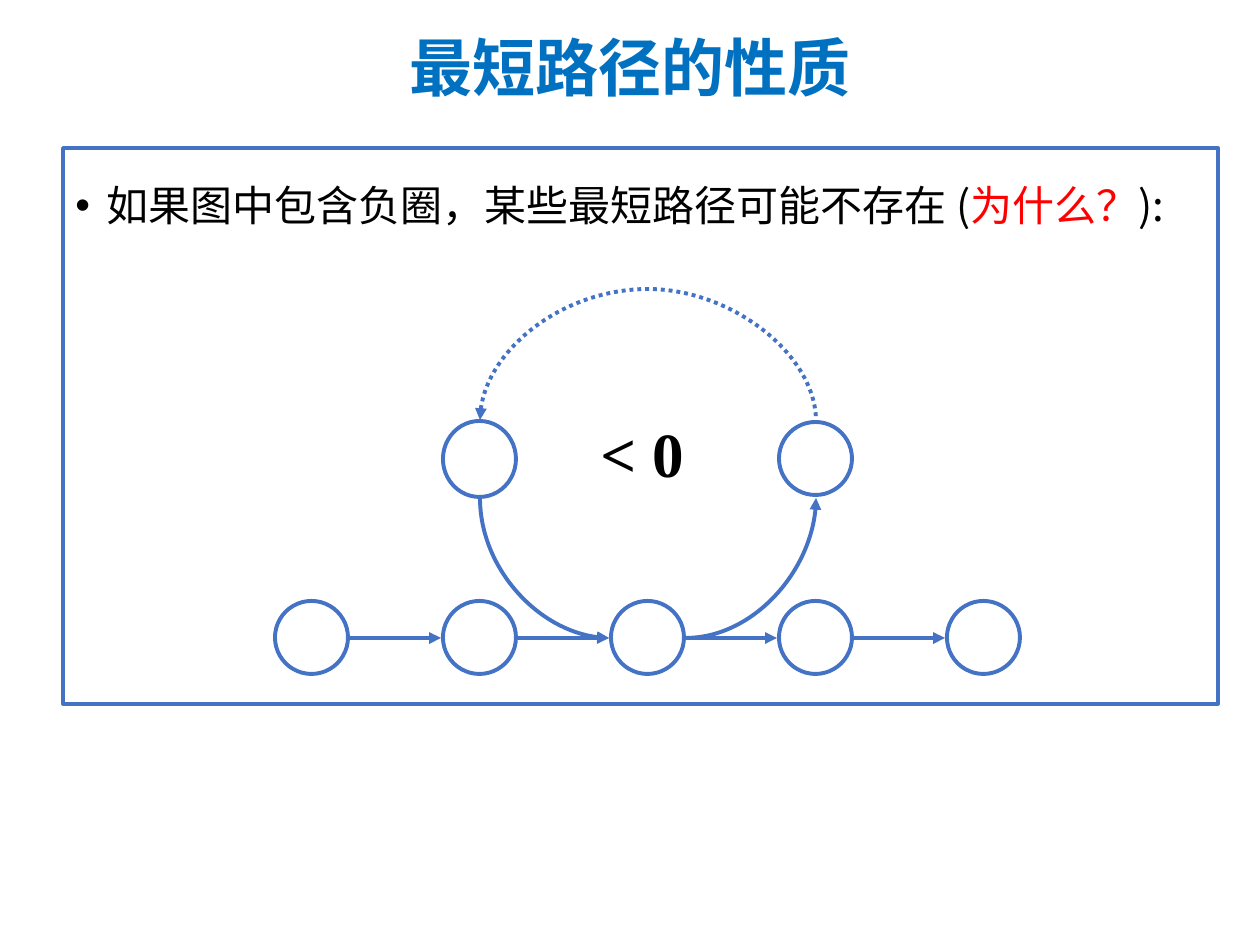
from lxml import etree
from pptx import Presentation
from pptx.dml.color import RGBColor
from pptx.enum.dml import MSO_LINE
from pptx.enum.shapes import MSO_CONNECTOR, MSO_SHAPE
from pptx.enum.text import MSO_ANCHOR, PP_ALIGN
from pptx.oxml.ns import qn
from pptx.util import Emu, Pt

STRAIGHT, CURVE = MSO_CONNECTOR.STRAIGHT, MSO_CONNECTOR.CURVE
RECTANGLE, OVAL = MSO_SHAPE.RECTANGLE, MSO_SHAPE.OVAL
LEFT, CENTER = PP_ALIGN.LEFT, PP_ALIGN.CENTER
TOP, MIDDLE = MSO_ANCHOR.TOP, MSO_ANCHOR.MIDDLE
DOTTED = MSO_LINE.ROUND_DOT

BLUE = RGBColor(0x44, 0x72, 0xC4)
TITLE_BLUE = RGBColor(0x00, 0x70, 0xC0)
RED = RGBColor(0xFF, 0x00, 0x00)
BLACK = RGBColor(0x00, 0x00, 0x00)
WHITE = RGBColor(0xFF, 0xFF, 0xFF)
SANS, SERIF = "Noto Sans CJK SC", "Times New Roman"

TITLE = "最短路径的性质"
STATEMENT = [("如果图中包含负圈，某些最短路径可能不存在 (", BLACK), ("为什么？", RED), ("):", BLACK)]
CYCLE_WEIGHT = "< 0"

NODE, STEP, GAP = 73, 168, 2
PATH_LEFT, PATH_TOP, PATH_COUNT = 275, 601, 5
PATH_MIDDLE = 638
path_lefts = [PATH_LEFT + STEP * i for i in range(PATH_COUNT)]
CYCLE_NODES = [(path_lefts[3], 422, NODE, NODE), (path_lefts[1], 421, NODE, 76)]
CYCLE_LEFT, CYCLE_RIGHT = 480, 816
CYCLE_TOP, CYCLE_BOTTOM, ARC_RISE = 420, 498, 132


def px(value):
    return Emu(round(value * 914400 / 126))


def box(left, top, width, height):
    return px(left), px(top), px(width), px(height)


def set_font(paragraph, name, size, color=None, bold=False):
    font = paragraph.font
    font.name, font.size, font.bold = name, Pt(size), bold
    if color is not None:
        font.color.rgb = color
    etree.SubElement(font._rPr, qn("a:ea")).set("typeface", name)


def add_outlined(shapes, kind, place, weight):
    shape = shapes.add_shape(kind, *box(*place))
    shape.shadow.inherit = False
    shape.fill.solid()
    shape.fill.fore_color.rgb = WHITE
    shape.line.color.rgb = BLUE
    shape.line.width = Pt(weight)
    return shape


def add_arrow(shapes, kind, start, end, arrow_end="a:tailEnd", dash=None):
    arrow = shapes.add_connector(kind, *box(*start, *end))
    arrow.line.color.rgb = BLUE
    arrow.line.width = Pt(2.25)
    if dash is not None:
        arrow.line.dash_style = dash
    properties = arrow.element.spPr
    etree.SubElement(properties.find(qn("a:ln")), qn(arrow_end)).set("type", "triangle")
    etree.SubElement(properties, qn("a:effectLst"))
    return arrow


def bend(arrow, preset, rotation=0, flip=None, place=None, adjust=None):
    geometry = arrow.element.spPr.find(qn("a:prstGeom"))
    geometry.set("prst", preset)
    if adjust is not None:
        guide = etree.SubElement(geometry.find(qn("a:avLst")), qn("a:gd"))
        guide.set("name", "adj1")
        guide.set("fmla", f"val {adjust}")
    if place:
        arrow.left, arrow.top, arrow.width, arrow.height = box(*place)
        frame = arrow.element.spPr.find(qn("a:xfrm"))
        frame.set("rot", str(rotation * 60000))
        for name in ("flipH", "flipV"):
            frame.set(name, "1" if name == flip else "0")


def turned(left, top, width, height):
    return left + (width - height) / 2, top + (height - width) / 2, height, width


def add_title(slide):
    title = slide.shapes.title
    title.left, title.top, title.width, title.height = box(87, 20, 1086, 102)
    title.text_frame.text = TITLE
    title.text_frame.vertical_anchor = MIDDLE
    paragraph = title.text_frame.paragraphs[0]
    paragraph.alignment, paragraph.line_spacing = CENTER, 0.9
    set_font(paragraph, SANS, 36, TITLE_BLUE, True)


def add_statement(shapes):
    frame = add_outlined(shapes, RECTANGLE, (63, 148, 1155, 556), 2).text_frame
    frame.word_wrap, frame.vertical_anchor = True, TOP
    paragraph = frame.paragraphs[0]
    paragraph.alignment, paragraph.line_spacing = LEFT, 1.5
    layout = paragraph._p.get_or_add_pPr()
    layout.set("marL", "228600")
    layout.set("indent", "-228600")
    etree.SubElement(layout, qn("a:buFont")).set("typeface", "Arial")
    etree.SubElement(layout, qn("a:buChar")).set("char", "•")
    set_font(paragraph, SANS, 24)
    for text, color in STATEMENT:
        run = paragraph.add_run()
        run.text = text
        run.font.color.rgb = color


def add_graph(shapes):
    for place in [(left, PATH_TOP, NODE, NODE) for left in path_lefts] + CYCLE_NODES:
        add_outlined(shapes, OVAL, place, 2.25)
    for left, following in zip(path_lefts, path_lefts[1:]):
        add_arrow(shapes, STRAIGHT, (left + NODE + GAP, PATH_MIDDLE), (following - GAP, PATH_MIDDLE))

    middle_left, middle_right = path_lefts[2] - GAP, path_lefts[2] + NODE + GAP
    rising = add_arrow(shapes, CURVE, (middle_right, PATH_MIDDLE), (CYCLE_RIGHT, CYCLE_BOTTOM))
    bend(rising, "curvedConnector2")

    start, end = (CYCLE_LEFT, CYCLE_BOTTOM), (middle_left, PATH_MIDDLE)
    falling = add_arrow(shapes, CURVE, start, end)
    extent = (*start, end[0] - start[0], end[1] - start[1])
    bend(falling, "curvedConnector2", 270, "flipH", turned(*extent))

    start, end = (CYCLE_LEFT, CYCLE_TOP), (CYCLE_RIGHT, CYCLE_TOP + 1)
    closing = add_arrow(shapes, CURVE, start, end, "a:headEnd", DOTTED)
    extent = (*start, CYCLE_RIGHT - CYCLE_LEFT, 1)
    bend(closing, "curvedConnector3", 90, "flipV", turned(*extent), -ARC_RISE * 100000)

    label = shapes.add_textbox(*box(588, 408, 108, 88)).text_frame
    label.word_wrap = False
    label.text = CYCLE_WEIGHT
    label.paragraphs[0].alignment = CENTER
    set_font(label.paragraphs[0], SERIF, 36, BLACK, True)


def main():
    presentation = Presentation()
    presentation.slide_width, presentation.slide_height = px(1260), px(945)
    slide = presentation.slides.add_slide(presentation.slide_layouts[5])
    add_title(slide)
    add_statement(slide.shapes)
    add_graph(slide.shapes)
    presentation.save("out.pptx")


if __name__ == "__main__":
    main()
